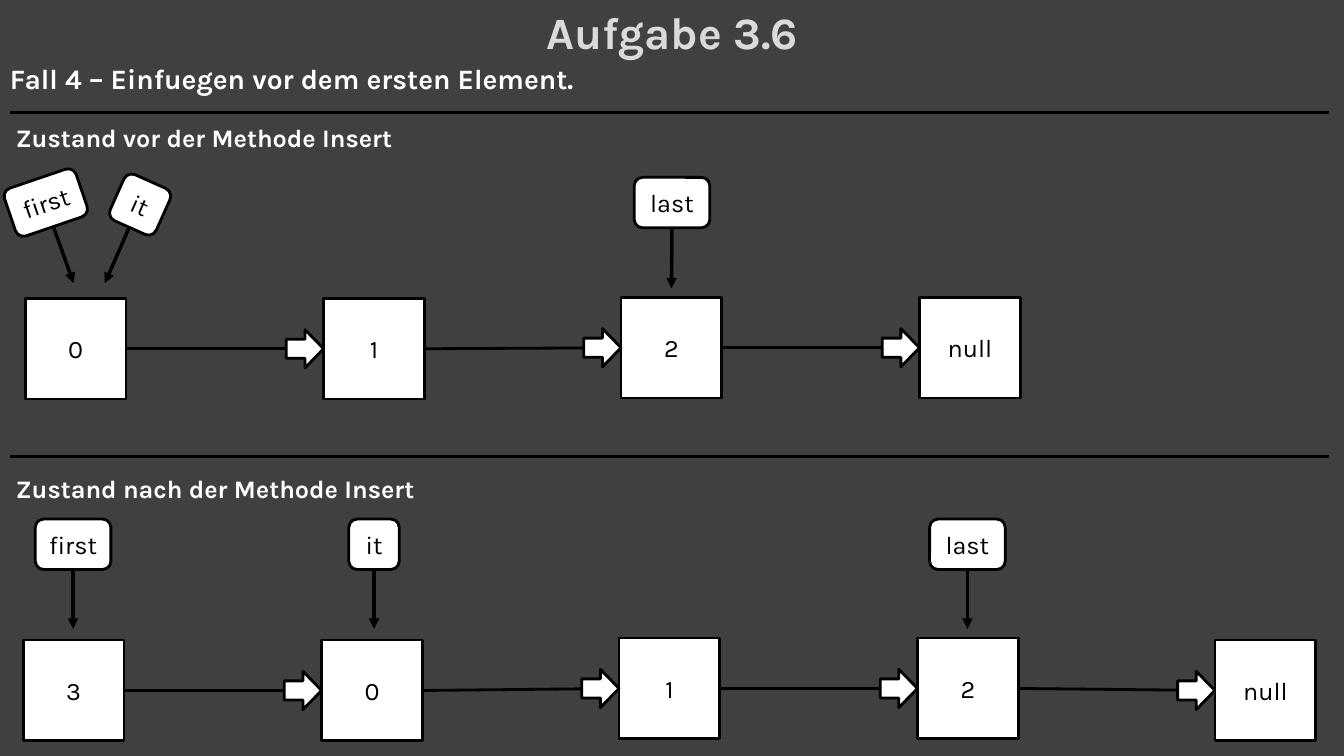
from lxml import etree
from pptx import Presentation
from pptx import util as u
from pptx.dml.color import RGBColor
from pptx.enum import shapes, text
from pptx.oxml.ns import qn

PX = 9144  # 100 px to the inch
FONT = "Karla"
BACKGROUND = RGBColor(0x40, 0x40, 0x40)
TITLE_GREY = RGBColor(0xDA, 0xDA, 0xDA)
WHITE = RGBColor(0xFF, 0xFF, 0xFF)
BLACK = RGBColor(0, 0, 0)

NODE = 100
NODE_PITCH = 295.6
ARROW_W, ARROW_H = 37, 38
POINTER_H = 50


def px(*lengths):
    return [u.Emu(round(n * PX)) for n in lengths]


def write(sp, content, size, color, bold=False, align=text.PP_ALIGN.CENTER):
    tf = sp.text_frame
    tf.text = content
    p = tf.paragraphs[0]
    p.alignment = align
    p.font.name, p.font.size, p.font.bold = FONT, u.Pt(size), bold
    p.font.color.rgb = color
    return tf


def add_label(s, box, content, size, align=text.PP_ALIGN.LEFT):
    sp = s.shapes.add_textbox(*px(*box))
    write(sp, content, size, WHITE, True, align).word_wrap = True


def add_box(s, kind, box, content="", rotation=0):
    sp = s.shapes.add_shape(kind, *px(*box))
    sp.shadow.inherit = False
    sp.fill.solid()
    sp.fill.fore_color.rgb = WHITE
    sp.line.color.rgb = BLACK
    sp.line.width = u.Pt(2)
    sp.rotation = rotation
    if content:
        tf = write(sp, content, 18, BLACK)
        tf.margin_left = tf.margin_right = 0
        tf.vertical_anchor = text.MSO_ANCHOR.MIDDLE
        tf.word_wrap = False
    return sp


def add_line(s, start=(0, 0), end=(0, 0), width=2, head=False):
    line = s.shapes.add_connector(shapes.MSO_CONNECTOR.STRAIGHT, *px(*start, *end))
    line.line.color.rgb = BLACK
    line.line.width = u.Pt(width)
    if head:
        ln = line.line._get_or_add_ln()
        etree.SubElement(ln, qn("a:tailEnd"), type="triangle")
    etree.SubElement(line._element.spPr, qn("a:effectLst"))
    return line


def add_list(s, left, nodes):
    """Draw the linked nodes, given as (label, top), from left to right."""
    previous = None
    for i, (label, top) in enumerate(nodes):
        x = round(left + i * NODE_PITCH)
        node = add_box(s, shapes.MSO_SHAPE.RECTANGLE, (x, top, NODE, NODE), label)
        if previous is not None:
            link = add_line(s)
            link.begin_connect(previous, 3)
            link.end_connect(node, 1)
            add_box(s, shapes.MSO_SHAPE.RIGHT_ARROW,
                    (x - ARROW_W, top + (NODE - ARROW_H) / 2, ARROW_W, ARROW_H))
        previous = node


def add_pointer(s, label, left, top, width, end, rotation=0, start=(0, 0)):
    """Draw a pointer box and its arrow; a tilted box needs a start point."""
    line = add_line(s, start, end, 2.5, head=True)
    box = add_box(s, shapes.MSO_SHAPE.ROUNDED_RECTANGLE,
                  (left, top, width, POINTER_H), label, rotation)
    if not rotation:
        line.begin_connect(box, 2)


def main():
    prs = Presentation()
    prs.slide_width, prs.slide_height = px(1333, 750)
    s = prs.slides.add_slide(prs.slide_layouts[5])
    s.background.fill.solid()
    s.background.fill.fore_color.rgb = BACKGROUND

    # Headings
    title = s.shapes.title
    title.left, title.top, title.width, title.height = px(181, 0, 972, 64)
    tf = write(title, "Aufgabe 3.6", 32, TITLE_GREY, True)
    tf.auto_size = text.MSO_AUTO_SIZE.NONE
    tf.vertical_anchor = text.MSO_ANCHOR.TOP
    add_label(s, (0, 56, 787, 44), "Fall 4 – Einfuegen vor dem ersten Element.",
              20, text.PP_ALIGN.JUSTIFY)

    # Section rules
    for y in (112, 453):
        add_line(s, (10, y), (1318, y))

    # State before the insertion
    add_label(s, (6, 116, 403, 40), "Zustand vor der Methode Insert", 18)
    add_list(s, 25, [("0", 296), ("1", 296), ("2", 295), ("null", 295)])
    add_pointer(s, "first", 8, 176, 75, (73, 281), 341.2, (53, 225))
    add_pointer(s, "it", 114, 178, 50, (104, 281), 24.1, (128, 226))
    add_pointer(s, "last", 629, 176, 75, (666, 286))

    # State after the insertion
    add_label(s, (6, 465, 420, 40), "Zustand nach der Methode Insert", 18)
    add_list(s, 23, [("3", 635), ("0", 635), ("1", 633), ("2", 633), ("null", 635)])
    for label, left, width in (("first", 35, 75), ("it", 346, 50), ("last", 922, 75)):
        add_pointer(s, label, left, 515, width, (left + width / 2, 624))

    prs.save("out.pptx")


if __name__ == "__main__":
    main()
